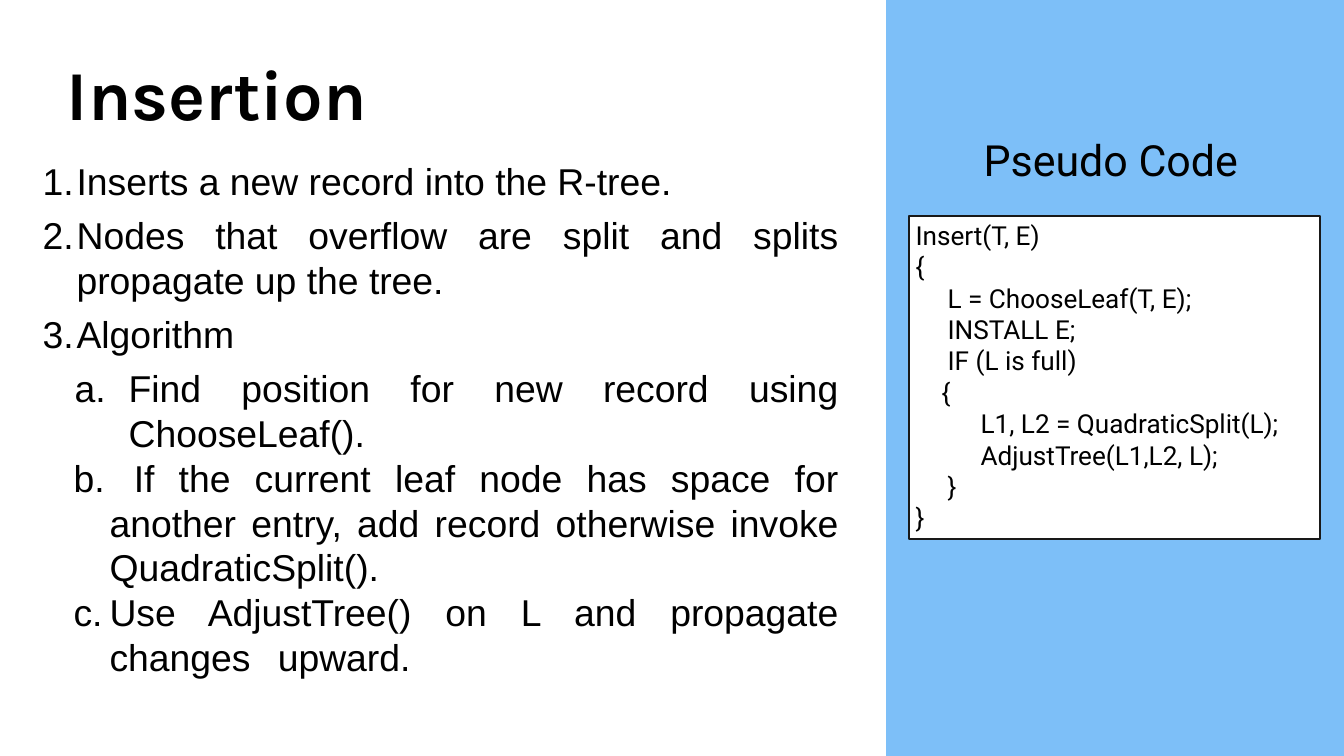
from lxml import etree
from pptx import Presentation
from pptx.dml.color import RGBColor
from pptx.enum.shapes import MSO_SHAPE
from pptx.enum.text import MSO_ANCHOR, MSO_AUTO_SIZE, PP_ALIGN
from pptx.oxml.ns import qn
from pptx.util import Emu, Pt

WIDTH, HEIGHT = 1344, 756
SCALE = 914400 / 67.2
COLORS = {"panel": "7DBFF8", "paper": "FFFFFF", "border": "191919", "text": "000000"}

# Text, list level, left indent, hanging indent, space before
STEPS = [
    ("Inserts a new record into the R-tree.", 0, 34, 36, 0),
    ("Nodes that overflow are split and splits propagate up the tree.", 0, 34, 36, 10),
    ("Algorithm", 0, 34, 36, 10),
    ("Find position for new record using ChooseLeaf().", 1, 86, 54, 10),
    (" If the current leaf node has space for another entry, add record "
     "otherwise invoke QuadraticSplit().", 1, 67, 36, 0),
    ("Use AdjustTree() on L and propagate changes \tupward.", 1, 67, 36, 0),
]
NUMBERING = ["arabicPeriod", "alphaLcPeriod"]

# Code line, left indent
CODE = [
    ("Insert(T, E)", 0),
    ("{", 0),
    ("L = ChooseLeaf(T, E);", 32),
    ("INSTALL E;", 32),
    ("IF (L is full)", 32),
    ("{", 26),
    ("L1, L2 = QuadraticSplit(L);", 65),
    ("AdjustTree(L1,L2, L);", 65),
    ("}", 32),
    ("}", 0),
]


def px(value):
    return Emu(round(value * SCALE))


def color(name):
    return RGBColor.from_string(COLORS[name])


def add_box(slide, box, fill, line=None):
    shape = slide.shapes.add_shape(MSO_SHAPE.RECTANGLE, *map(px, box))
    shape.shadow.inherit = False
    shape.fill.solid()
    shape.fill.fore_color.rgb = color(fill)
    if line:
        shape.line.color.rgb = color(line)
        shape.line.width = Pt(2)
    else:
        shape.line.fill.background()
    return shape


def set_frame(shape, inset_x, inset_y):
    frame = shape.text_frame
    frame.word_wrap = True
    frame.auto_size = MSO_AUTO_SIZE.SHAPE_TO_FIT_TEXT
    frame.vertical_anchor = MSO_ANCHOR.TOP
    frame.margin_left = frame.margin_right = px(inset_x)
    frame.margin_top = frame.margin_bottom = px(inset_y)
    return frame


def add_frame(slide, box, inset_x, inset_y):
    return set_frame(slide.shapes.add_textbox(*map(px, box)), inset_x, inset_y)


def add_line(frame, text, font, size, bold=False, align=PP_ALIGN.LEFT):
    first = frame.paragraphs[0]
    paragraph = frame.add_paragraph() if first.runs else first
    paragraph.alignment = align
    run = paragraph.add_run()
    run.text = text
    run.font.name = font
    run.font.size = Pt(size)
    run.font.bold = bold
    run.font.color.rgb = color("text")
    return paragraph


def indent(paragraph, left, hanging=0):
    props = paragraph._p.get_or_add_pPr()
    props.set("marL", str(px(left)))
    props.set("indent", str(px(-hanging)))
    return props


def add_steps(slide):
    frame = add_frame(slide, (36, 155, 809, 533), 6.72, 3.36)
    for text, level, left, hanging, before in STEPS:
        paragraph = add_line(frame, text, "Arial", 40, align=PP_ALIGN.JUSTIFY)
        paragraph.level = level
        paragraph.space_before = Pt(before)
        props = indent(paragraph, left, hanging)
        etree.SubElement(props, qn("a:buFont"), typeface="Arial")
        etree.SubElement(props, qn("a:buAutoNum"), type=NUMBERING[level])


def add_code(slide):
    box = add_box(slide, (909, 216, 411, 323), "paper", "border")
    frame = set_frame(box, 6.72, 3.36)
    for text, left in CODE:
        indent(add_line(frame, text, "Roboto", 28), left)


def main():
    deck = Presentation()
    deck.slide_width, deck.slide_height = px(WIDTH), px(HEIGHT)
    slide = deck.slides.add_slide(deck.slide_layouts[6])

    # Side panel
    add_box(slide, (886, 0, WIDTH - 886, HEIGHT), "panel")

    # Title and steps
    title = add_frame(slide, (67, 34, 636, 85), 0, 0)
    add_line(title, "Insertion", "Karla", 75, bold=True).line_spacing = 1.2
    add_steps(slide)

    # Pseudo code
    add_code(slide)
    heading = add_frame(slide, (977, 127, 276, 66), 6.72, 6.72)
    add_line(heading, "Pseudo Code", "Roboto", 46)

    deck.save("out.pptx")


main()
